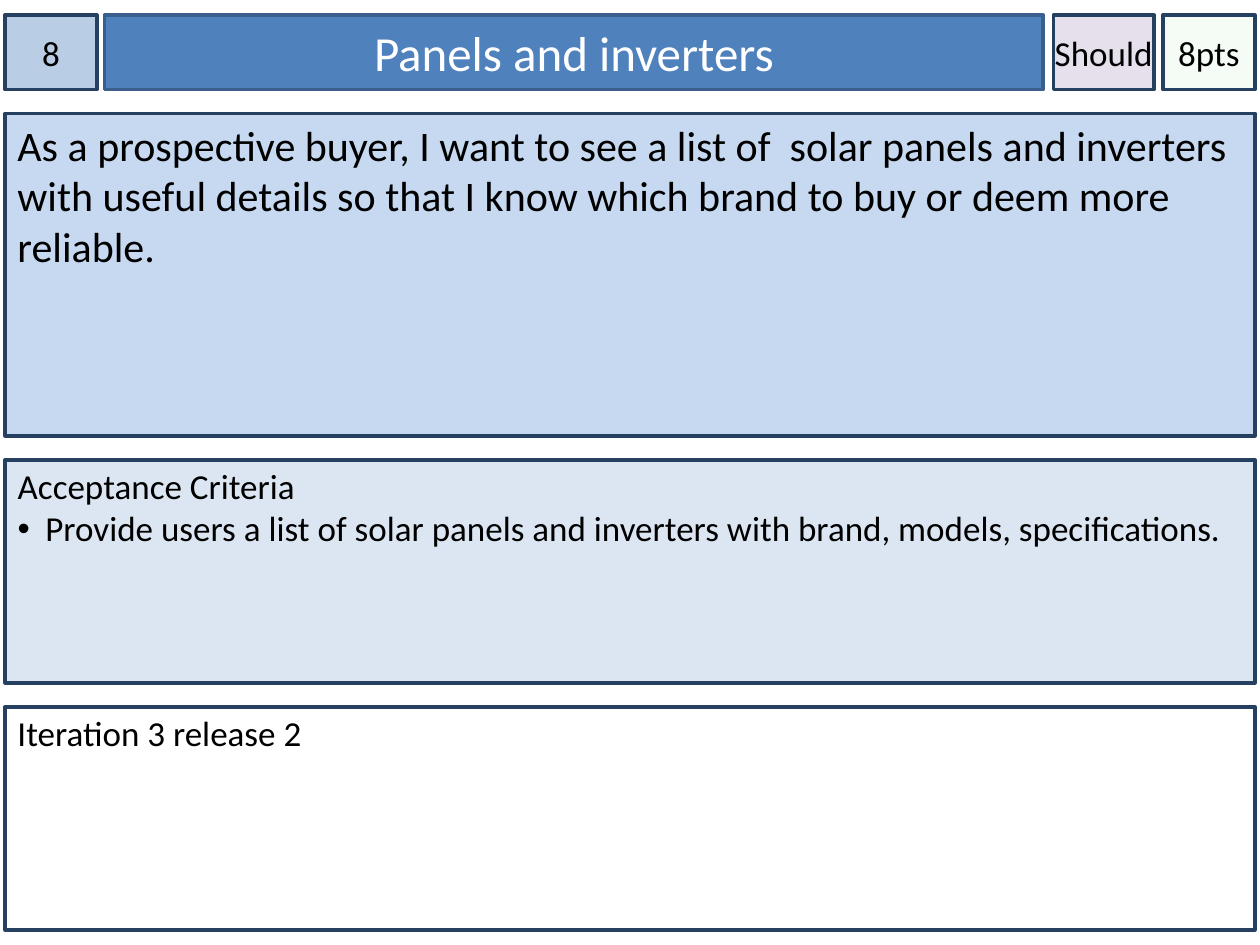
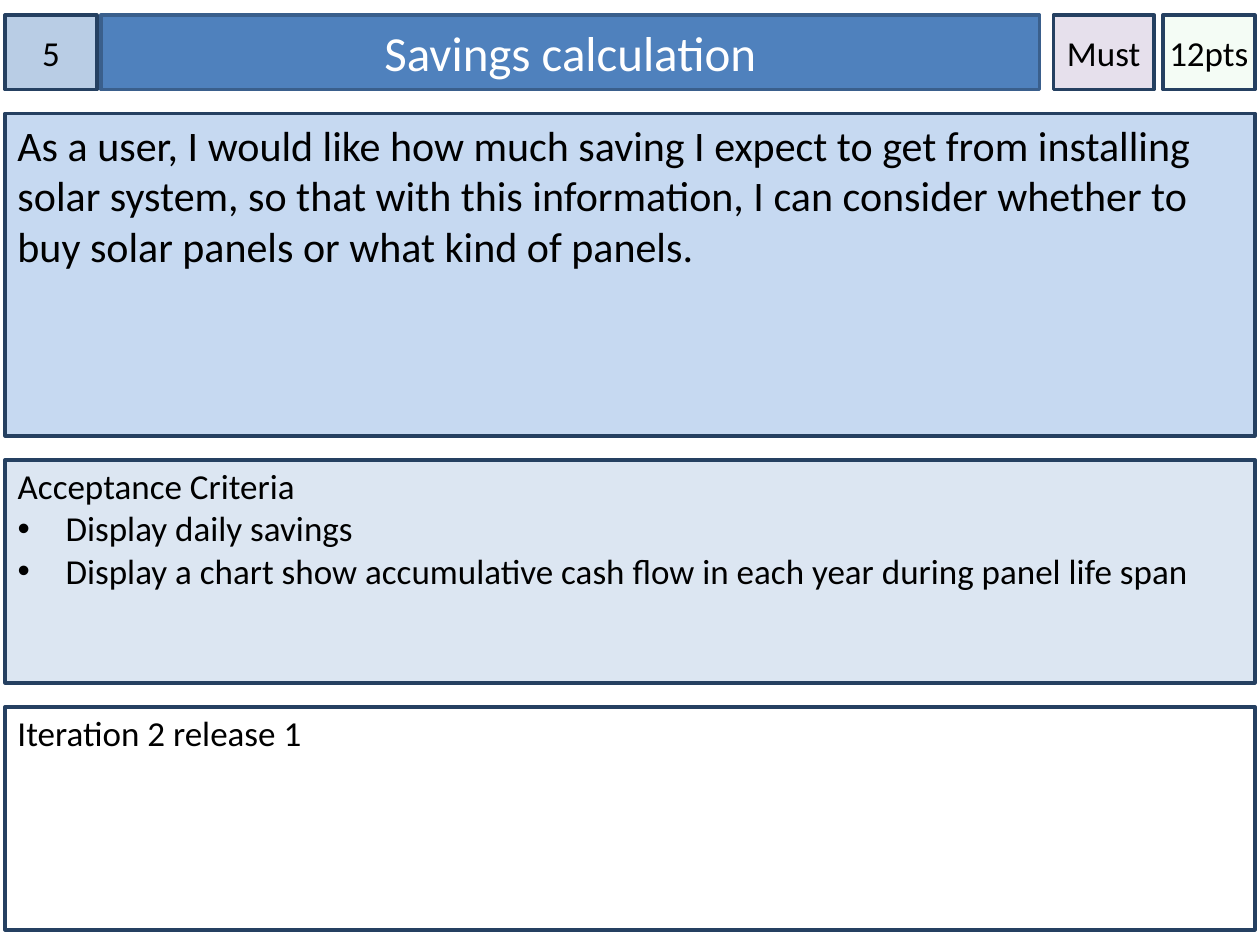
import pptx
import pptx.dml.color
import pptx.enum.shapes
import pptx.enum.text
import pptx.oxml
import pptx.oxml.ns
import pptx.util
from lxml import etree

Inches = pptx.util.Inches
Pt = pptx.util.Pt
ALIGN = pptx.enum.text.PP_ALIGN
ANCHOR = pptx.enum.text.MSO_ANCHOR
qn = pptx.oxml.ns.qn

# Shared grid, in inches
EDGE = 0.04
FULL_WIDTH = 9.92
HEADER_TOP, HEADER_HEIGHT = 0.12, 0.59
TAG_WIDTH = 0.73
GAP = 0.19
STORY_TOP, STORY_HEIGHT = 0.9, 2.56
PANEL_HEIGHT = 1.77
CRITERIA_TOP = STORY_TOP + STORY_HEIGHT + GAP
ITERATION_TOP = CRITERIA_TOP + PANEL_HEIGHT + GAP

# Shared colours
COLOURS = {
    "number": "B9CDE5", "title": "4F81BD", "title_line": "3A5F8C",
    "story": "C6D9F1", "criteria": "DCE6F2", "points": "CCF0CD",
    "priority": "E6E0EC", "iteration": "FFFFFF", "line": "254061",
    "text": "000000", "title_text": "FFFFFF",
}

# Text frame formats: margins are left, top, right, bottom
TAG_MARGINS = (0, 0.05, 0, 0.05)
PANEL_MARGINS = (0.1, 0.04, 0.1, 0.05)
STORY_MARGINS = (0.1, 0.05, 0.1, 0.05)

STORIES = [
    {
        "number": "8", "title": "Panels and inverters", "title_left": 0.83,
        "priority": "Should", "points": "8pts",
        "story": "As a prospective buyer, I want to see a list of  solar panels and "
                 "inverters with useful details so that I know which brand to buy "
                 "or deem more reliable.",
        "criteria": ["Provide users a list of solar panels and inverters with brand, "
                     "models, specifications."],
        "indent": 0.22, "iteration": "Iteration 3 release 2",
    },
    {
        "number": "5", "title": "Savings calculation", "title_left": 0.8,
        "priority": "Must", "points": "12pts",
        "story": "As a user, I would like how much saving I expect to get from "
                 "installing solar system, so that with this information, I can "
                 "consider whether to buy solar panels or what kind of panels.",
        "criteria": ["Display daily savings",
                     "Display a chart show accumulative cash flow in each year "
                     "during panel life span"],
        "indent": 0.38, "iteration": "Iteration 2 release 1",
    },
]


def colour(value):
    return pptx.dml.color.RGBColor.from_string(value)


def set_attributes(target, values):
    for name, value in values.items():
        setattr(target, name, value)


class StoryCard:
    """Builds one user story card on a new slide."""

    font_name = "Calibri"
    line_width = 2

    def __init__(self, presentation):
        self.slide = presentation.slides.add_slide(presentation.slide_layouts[1])

    def dress(self, shape, box, fill, line="line"):
        left, top, width, height = map(Inches, box)
        set_attributes(shape, {"left": left, "top": top, "width": width, "height": height})
        shape.shadow.inherit = False
        shape.fill.solid()
        shape.fill.fore_color.rgb = colour(COLOURS[fill])
        shape.line.color.rgb = colour(COLOURS[line])
        shape.line.width = Pt(self.line_width)

    def fill_text(self, shape, lines, size, margins, anchor=ANCHOR.TOP,
                  align=ALIGN.LEFT, text="text", wrap=True, indent=0):
        """Sets the lines; those after the first are bullets."""
        frame = shape.text_frame
        left, top, right, bottom = map(Inches, margins)
        set_attributes(frame, {
            "text": "\n".join(lines), "word_wrap": wrap, "vertical_anchor": anchor,
            "auto_size": pptx.enum.text.MSO_AUTO_SIZE.NONE,
            "margin_left": left, "margin_top": top,
            "margin_right": right, "margin_bottom": bottom})
        for position, paragraph in enumerate(frame.paragraphs):
            self.set_bullet(paragraph, indent if position else 0)
            set_attributes(paragraph, {"alignment": align, "space_before": Pt(0)})
            set_attributes(paragraph.font, {"name": self.font_name, "size": Pt(size)})
            paragraph.font.color.rgb = colour(COLOURS[text])

    def set_bullet(self, paragraph, indent):
        properties = paragraph._p.get_or_add_pPr()
        properties.set("marL", str(Inches(indent)))
        properties.set("indent", str(-Inches(indent)))
        if indent:
            etree.SubElement(properties, qn("a:buFont")).set("typeface", "Arial")
            etree.SubElement(properties, qn("a:buChar")).set("char", "•")
        else:
            etree.SubElement(properties, qn("a:buNone"))

    def rectangle(self, box, fill):
        shape = self.slide.shapes.add_shape(
            pptx.enum.shapes.MSO_SHAPE.RECTANGLE, *map(Inches, box))
        self.dress(shape, box, fill)
        return shape

    def title(self, text, left):
        shape = self.slide.shapes.title
        self.dress(shape, (left, HEADER_TOP, 7.45, HEADER_HEIGHT), "title", "title_line")
        self.fill_text(shape, [text], 28, STORY_MARGINS, ANCHOR.MIDDLE, ALIGN.CENTER,
                       "title_text")

    def tag(self, text, left, width, fill, wrap=True):
        shape = self.rectangle((left, HEADER_TOP, width, HEADER_HEIGHT), fill)
        self.fill_text(shape, [text], 20, TAG_MARGINS, ANCHOR.MIDDLE, ALIGN.CENTER, wrap=wrap)
        return shape

    def panel(self, text, top, height, fill, size, margins):
        shape = self.rectangle((EDGE, top, FULL_WIDTH, height), fill)
        self.fill_text(shape, [text], size, margins)

    def criteria(self, items, indent):
        shape = self.slide.placeholders[1]
        self.dress(shape, (EDGE, CRITERIA_TOP, FULL_WIDTH, PANEL_HEIGHT), "criteria")
        self.fill_text(shape, ["Acceptance Criteria", *items], 20, PANEL_MARGINS,
                       indent=indent)

    def set_opacity(self, shape, percent):
        fill_colour = shape.element.spPr.find(qn("a:solidFill")).find(qn("a:srgbClr"))
        etree.SubElement(fill_colour, qn("a:alpha")).set("val", str(percent * 1000))


def add_story(presentation, story):
    card = StoryCard(presentation)
    # Header row
    card.tag(story["number"], EDGE, TAG_WIDTH, "number")
    card.title(story["title"], story["title_left"])
    card.tag(story["priority"], 8.36, 0.8, "priority", wrap=False)
    points = card.tag(story["points"], EDGE + FULL_WIDTH - TAG_WIDTH, TAG_WIDTH, "points")
    card.set_opacity(points, 20)
    # Stacked panels
    card.panel(story["story"], STORY_TOP, STORY_HEIGHT, "story", 24, STORY_MARGINS)
    card.criteria(story["criteria"], story["indent"])
    card.panel(story["iteration"], ITERATION_TOP, PANEL_HEIGHT, "iteration", 20, PANEL_MARGINS)


def main():
    presentation = pptx.Presentation()
    presentation.slide_width = Inches(10)
    presentation.slide_height = Inches(7.5)
    for story in STORIES:
        add_story(presentation, story)
    presentation.save("out.pptx")


if __name__ == "__main__":
    main()
